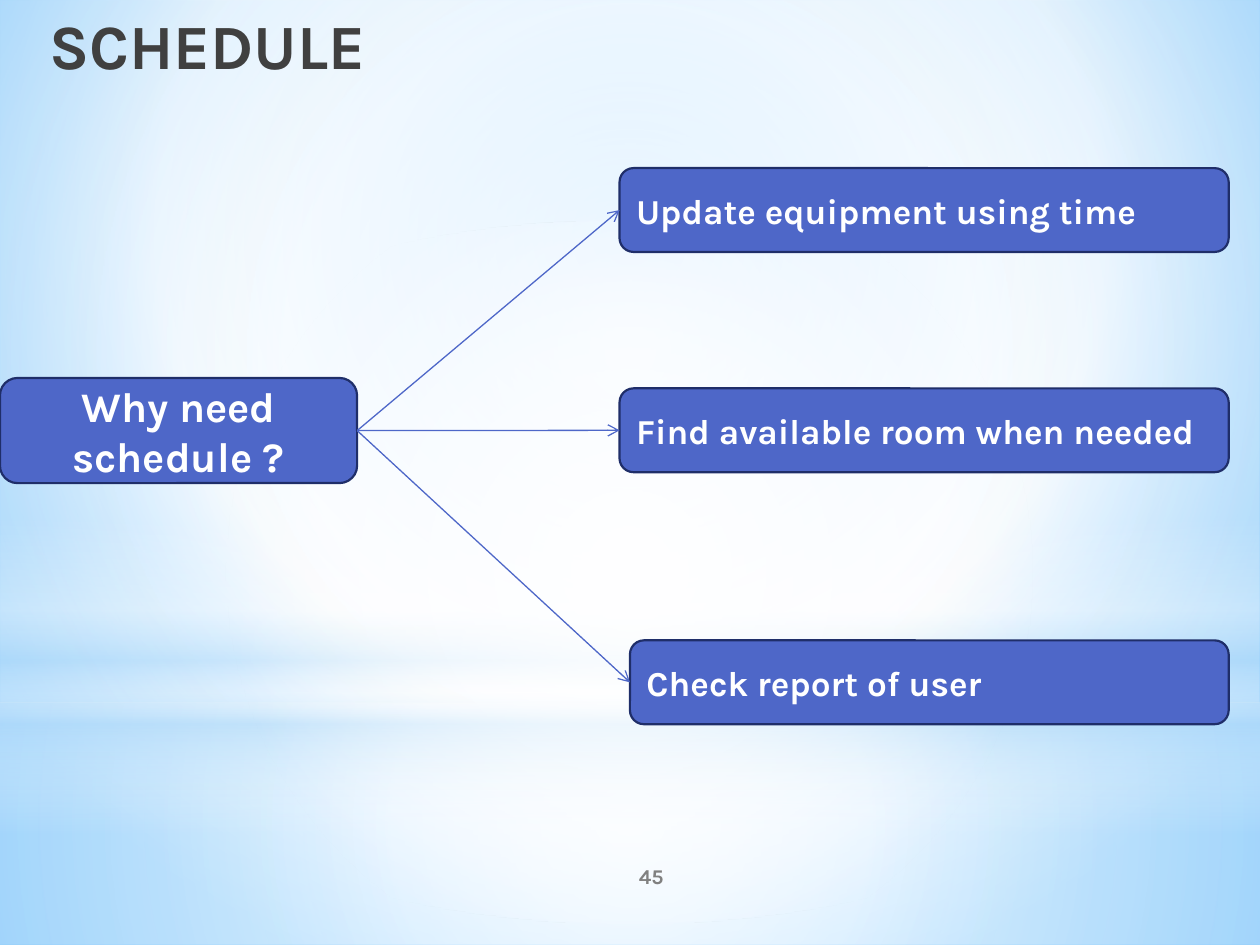
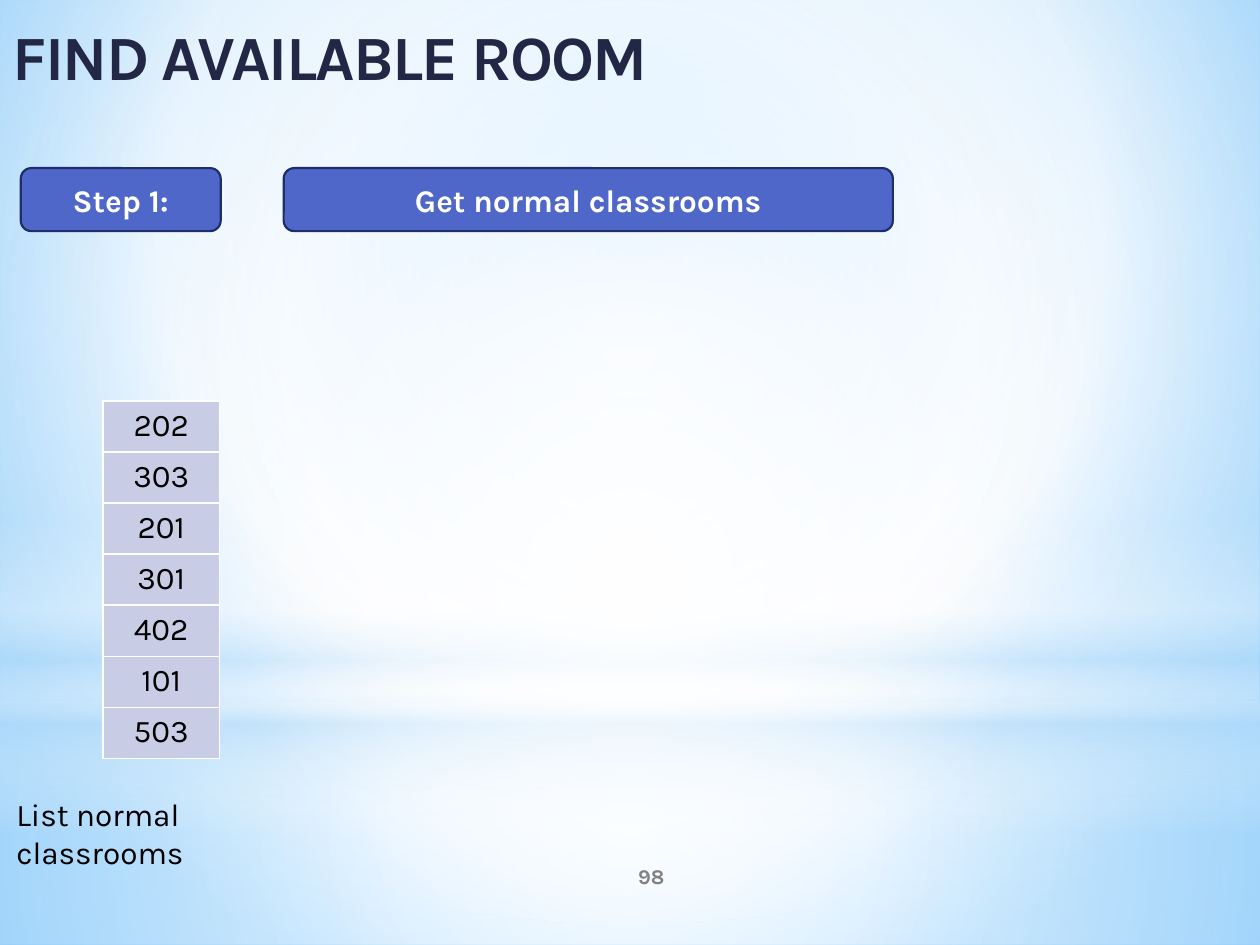
from lxml.etree import SubElement
from pptx import Presentation
from pptx.dml.color import RGBColor
from pptx.enum.shapes import MSO_CONNECTOR, MSO_SHAPE
from pptx.enum.text import MSO_ANCHOR, MSO_AUTO_SIZE, PP_ALIGN
from pptx.oxml.ns import qn
from pptx.util import Cm, Pt

FONT = "Karla"
COLORS = {
    "box": "4E67C8",
    "outline": "1F2E69",
    "white": "FFFFFF",
    "black": "000000",
    "number": "808080",
    "charcoal": "404040",
    "navy": "212745",
    "cell": "C8CDE5",
    "sky": "9ED5FF",
    "blue": "5BB9FF",
    "haze": "B4DCFA",
}
RGB = {role: RGBColor.from_string(value) for role, value in COLORS.items()}


def set_gradient(owner, stops, center=None):
    gradient = owner.find(".//" + qn("a:gradFill"))
    gradient.clear()
    stop_list = SubElement(gradient, qn("a:gsLst"))
    for position, role, opacity in stops:
        stop = SubElement(stop_list, qn("a:gs"), pos=str(position * 1000))
        color = SubElement(stop, qn("a:srgbClr"), val=COLORS[role])
        if opacity < 100:
            SubElement(color, qn("a:alpha"), val=str(opacity * 1000))
    if center:
        focus = SubElement(gradient, qn("a:path"), path="circle")
        edges = {side: str(share * 1000) for side, share in zip("ltrb", center)}
        SubElement(focus, qn("a:fillToRect"), edges)
    else:
        SubElement(gradient, qn("a:lin"), ang="5400000", scaled="0")


def write(shape, text, size, role, bold=True, align=PP_ALIGN.LEFT, anchor=MSO_ANCHOR.MIDDLE):
    frame = shape.text_frame
    frame.word_wrap = True
    frame.auto_size = MSO_AUTO_SIZE.NONE
    frame.vertical_anchor = anchor
    paragraph = frame.paragraphs[0]
    paragraph.text = text
    paragraph.alignment = align
    paragraph.font.name = FONT
    paragraph.font.size = Pt(size)
    paragraph.font.bold = bold
    paragraph.font.color.rgb = RGB[role]


prs = Presentation()
prs.slide_width, prs.slide_height = Cm(25.4), Cm(19.05)
master = prs.slide_master
title_only = prs.slide_layouts[5]
schedule = prs.slides.add_slide(title_only)
find_room = prs.slides.add_slide(title_only)

master.background.fill.gradient()
set_gradient(
    master.element,
    [(0, "sky", 100), (60, "white", 100), (100, "blue", 100)],
    (20, 10, 20, 60),
)

middle = (50, 50, 50, 50)
glows = [
    (MSO_SHAPE.RECTANGLE, 14.17, 4.88, middle,
     [(0, "white", 91), (37, "white", 76), (100, "haze", 79)]),
    (MSO_SHAPE.RECTANGLE, 0, 14.17, middle,
     [(0, "white", 89), (48, "white", 62), (100, "haze", 79)]),
    (MSO_SHAPE.RECTANGLE, 10.46, 6.35, None,
     [(0, "white", 0), (29, "white", 30), (45, "haze", 40),
      (55, "white", 26), (65, "haze", 60), (100, "white", 0)]),
    (MSO_SHAPE.OVAL, 4.45, 14.17, middle,
     [(0, "white", 100), (56, "white", 0)]),
]
for order, (outline, top, height, center, stops) in enumerate(glows):
    glow = schedule.shapes.add_shape(outline, 0, Cm(top), prs.slide_width, Cm(height))
    glow.shadow.inherit = False
    glow.line.fill.background()
    glow.fill.gradient()
    set_gradient(glow.element, stops, center)
    glow.element.nvSpPr.cNvPr.set("id", str(20 + order))
    master.shapes.element.insert(2 + order, glow.element)

headings = [
    (schedule, "SCHEDULE", 7.62, "charcoal", PP_ALIGN.RIGHT, MSO_ANCHOR.TOP, "45"),
    (find_room, "FIND AVAILABLE ROOM", 13.54, "navy", PP_ALIGN.LEFT, MSO_ANCHOR.MIDDLE, "98"),
]
for slide, heading, width, role, align, anchor, number in headings:
    title = slide.shapes.title
    title.left, title.top, title.width, title.height = 0, 0, Cm(width), Cm(2.24)
    write(title, heading, 36, role, align=align, anchor=anchor)
    page = slide.shapes.add_textbox(Cm(10.59), Cm(17.15), Cm(5.08), Cm(1.02))
    write(page, number, 12, "number", align=PP_ALIGN.CENTER)
find_room.shapes.title.text_frame.paragraphs[0].runs[0].font._element.set("spc", "-100")

boxes = [
    (schedule, "Why need schedule ?", 0, 7.62, 7.2, 2.12, 24, PP_ALIGN.CENTER),
    (schedule, "Update equipment using time", 12.49, 3.39, 12.28, 1.69, 20, PP_ALIGN.LEFT),
    (schedule, "Find available room when needed", 12.49, 7.83, 12.28, 1.69, 20, PP_ALIGN.LEFT),
    (schedule, "Check report of user", 12.7, 12.91, 12.07, 1.69, 20, PP_ALIGN.LEFT),
    (find_room, "Step 1:", 0.42, 3.39, 4.03, 1.27, 18, PP_ALIGN.CENTER),
    (find_room, "Get normal classrooms", 5.72, 3.39, 12.28, 1.27, 18, PP_ALIGN.CENTER),
]
schedule_boxes = []
for slide, text, left, top, width, height, size, align in boxes:
    box = slide.shapes.add_shape(
        MSO_SHAPE.ROUNDED_RECTANGLE, Cm(left), Cm(top), Cm(width), Cm(height)
    )
    box.shadow.inherit = False
    box.fill.solid()
    box.fill.fore_color.rgb = RGB["box"]
    box.line.color.rgb = RGB["outline"]
    box.line.width = Pt(1.25)
    write(box, text, size, "white", align=align)
    if slide is schedule:
        schedule_boxes.append(box)

question, *reasons = schedule_boxes
for reason in reasons:
    arrow = schedule.shapes.add_connector(MSO_CONNECTOR.STRAIGHT, 0, 0, 0, 0)
    arrow.begin_connect(question, 3)
    arrow.end_connect(reason, 1)
    arrow.line.color.rgb = RGB["box"]
    arrow.line.width = Pt(0.75)
    SubElement(arrow.line._get_or_add_ln(), qn("a:tailEnd"), type="arrow")
    SubElement(arrow.element.spPr, qn("a:effectLst"))

rooms = ["202", "303", "201", "301", "402", "101", "503"]
room_list = find_room.shapes.add_table(
    len(rooms), 1, Cm(2.08), Cm(8.08), Cm(2.34), Cm(1.03 * len(rooms))
).table
room_list.first_row = False
room_list.horz_banding = False
for row, room in enumerate(rooms):
    cell = room_list.cell(row, 0)
    cell.fill.solid()
    cell.fill.fore_color.rgb = RGB["cell"]
    label = cell.text_frame.paragraphs[0]
    label.text = room
    label.alignment = PP_ALIGN.CENTER
    label.font.name = FONT
    label.font.size = Pt(18)
    label.font.color.rgb = RGB["black"]
    properties = cell._tc.get_or_add_tcPr()
    for position, side in enumerate(("a:lnT", "a:lnB")):
        border = SubElement(properties, qn(side), w=str(Pt(1)))
        SubElement(SubElement(border, qn("a:solidFill")), qn("a:srgbClr"), val=COLORS["white"])
        properties.insert(position, border)

caption = find_room.shapes.add_textbox(Cm(0.08), Cm(15.9), Cm(6.6), Cm(1.02))
write(caption, "List normal classrooms", 18, "black", bold=False, anchor=MSO_ANCHOR.TOP)

prs.save("out.pptx")
